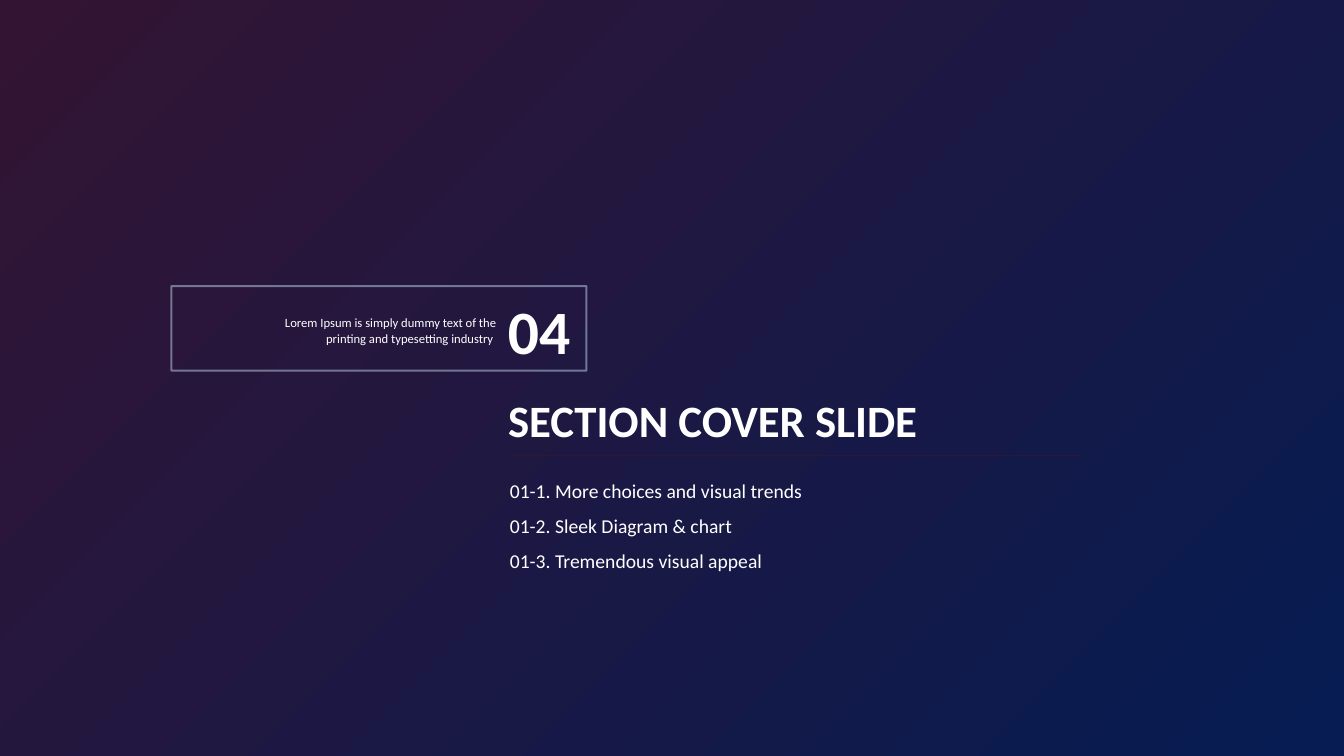
import pptx
import pptx.util
import pptx.dml.color
import pptx.enum.shapes
import pptx.enum.text
import pptx.oxml
import pptx.oxml.ns
import lxml.etree

Cm, Pt = pptx.util.Cm, pptx.util.Pt
ALIGN = pptx.enum.text.PP_ALIGN
WHITE, PLUM, NAVY, STEEL = "FFFFFF", "331433", "061C52", "B6C6DD"
ITEMS = [
    "01-1. More choices and visual trends",
    "01-2. Sleek Diagram & chart",
    "01-3. Tremendous visual appeal",
]


def paint(target, color):
    target.rgb = pptx.dml.color.RGBColor.from_string(color)


def place(shape, left, top, width, height):
    shape.left, shape.top = Cm(left), Cm(top)
    shape.width, shape.height = Cm(width), Cm(height)


def write(shape, text, size, align, bold=False):
    frame = shape.text_frame
    frame.word_wrap = True
    frame.auto_size = pptx.enum.text.MSO_AUTO_SIZE.NONE
    frame.vertical_anchor = pptx.enum.text.MSO_ANCHOR.TOP
    frame.text = text
    para = frame.paragraphs[0]
    para.alignment = align
    para.line_spacing = 1.0
    para.space_before = Pt(0)
    para.font.name, para.font.size, para.font.bold = "Calibri", Pt(size), bold
    paint(para.font.color, WHITE)


def add_text(slide, box, text, size, align, bold=False):
    shape = slide.shapes.add_textbox(*map(Cm, box))
    write(shape, text, size, align, bold)


def add_back(slide):
    fill = slide.background.fill
    fill.gradient()
    fill.gradient_angle = 315
    for stop, color in zip(fill.gradient_stops, (PLUM, NAVY)):
        paint(stop.color, color)


def add_head(slide, left, top, width):
    # Title
    title = slide.shapes.title
    place(title, left, top, width, 1.63)
    write(title, "SECTION COVER SLIDE", 32, ALIGN.JUSTIFY, True)
    # Thin rule under the title
    rule = slide.shapes.add_connector(
        pptx.enum.shapes.MSO_CONNECTOR.STRAIGHT,
        Cm(left + 0.2), Cm(top + 1.7), Cm(left + width - 0.23), Cm(top + 1.7))
    rule.line.width = Pt(0.25)
    paint(rule.line.color, PLUM)
    lxml.etree.SubElement(rule._element.spPr, pptx.oxml.ns.qn("a:effectLst"))


def add_badge(slide, left, top, width, height):
    # Section number and its caption
    add_text(slide, (left + 8.23, top + 0.05, 2.16, height),
             "04", 44, ALIGN.JUSTIFY, True)
    add_text(slide, (left + 1.55, top + 0.61, 6.88, 1.04),
             "Lorem Ipsum is simply dummy text of the printing "
             "and typesetting industry ", 9, ALIGN.RIGHT)
    # Half-clear outline
    frame = slide.shapes.add_shape(
        pptx.enum.shapes.MSO_SHAPE.RECTANGLE,
        Cm(left), Cm(top), Cm(width), Cm(height))
    frame.shadow.inherit = False
    frame.fill.background()
    frame.line.width = Pt(1.5)
    paint(frame.line.color, STEEL)
    tint = frame.line._ln.find(".//" + pptx.oxml.ns.qn("a:srgbClr"))
    lxml.etree.SubElement(tint, pptx.oxml.ns.qn("a:alpha"), val="55000")


def add_list(slide, left, top, width, pitch):
    for row, item in enumerate(ITEMS):
        add_text(slide, (left, top + row * pitch, width, 0.86),
                 item, 14, ALIGN.LEFT)


def main():
    deck = pptx.Presentation()
    deck.slide_width, deck.slide_height = Cm(33.87), Cm(19.05)
    slide = deck.slides.add_slide(deck.slide_layouts.get_by_name("Title Only"))
    add_back(slide)
    add_head(slide, 12.55, 9.78, 14.94)
    add_badge(slide, 4.32, 7.21, 10.46, 2.13)
    add_list(slide, 12.6, 11.94, 10.92, 0.88)
    deck.save("out.pptx")


if __name__ == "__main__":
    main()
